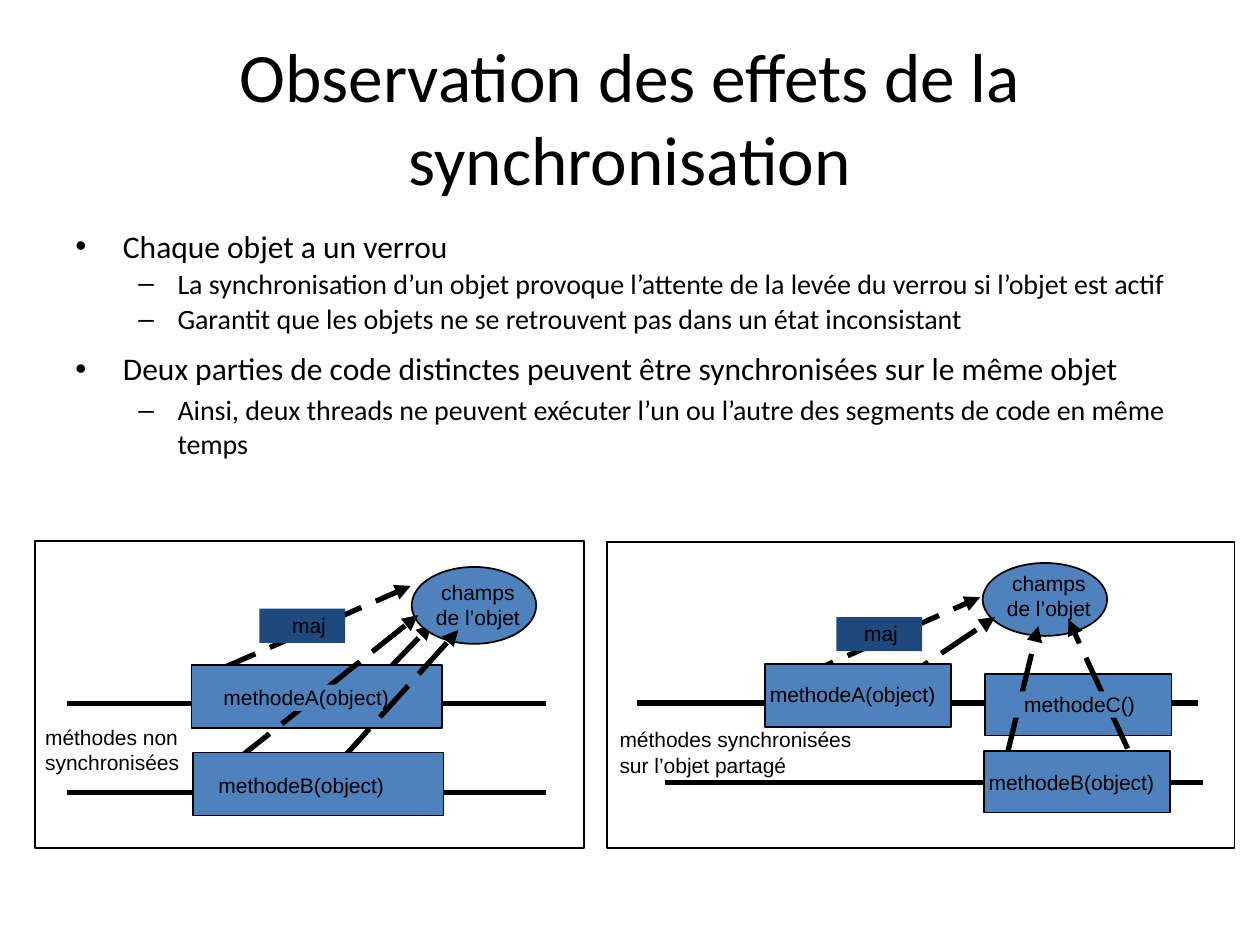
from dataclasses import dataclass

from lxml.etree import SubElement
from pptx import Presentation
from pptx.dml.color import RGBColor
from pptx.enum.dml import MSO_LINE
from pptx.enum.shapes import MSO_CONNECTOR, MSO_SHAPE
from pptx.enum.text import MSO_ANCHOR, PP_ALIGN
from pptx.oxml.ns import qn
from pptx.slide import Slide
from pptx.util import Cm, Pt

BLACK = RGBColor(0x00, 0x00, 0x00)
BLUE = RGBColor(0x4F, 0x81, 0xBD)
NAVY = RGBColor(0x1F, 0x49, 0x7D)


def add_text(slide, left, top, width, height):
    shape = slide.shapes.add_textbox(Cm(left), Cm(top), Cm(width), Cm(height))
    shape.text_frame.word_wrap = True
    return shape.text_frame


def set_font(paragraph, name, size):
    paragraph.font.name = name
    paragraph.font.size = Pt(size)
    paragraph.font.color.rgb = BLACK


@dataclass
class Panel:
    slide: Slide
    left: float
    top: float

    def block(self, left, top, width, height, fill=None, outlined=True, kind=MSO_SHAPE.RECTANGLE):
        shape = self.slide.shapes.add_shape(
            kind, Cm(self.left + left), Cm(self.top + top), Cm(width), Cm(height))
        shape.shadow.inherit = False
        if fill is None:
            shape.fill.background()
        else:
            shape.fill.solid()
            shape.fill.fore_color.rgb = fill
        if outlined:
            shape.line.color.rgb = BLACK
            shape.line.width = Pt(1)
        else:
            shape.line.fill.background()

    def label(self, text, left, top, width, height=0.76, align=PP_ALIGN.CENTER):
        frame = add_text(self.slide, self.left + left, self.top + top, width, height)
        paragraph = frame.paragraphs[0]
        paragraph.text = text
        paragraph.alignment = align
        set_font(paragraph, "Arial", 12)

    def line(self, x1, y1, x2, y2):
        connector = self.slide.shapes.add_connector(
            MSO_CONNECTOR.STRAIGHT, Cm(self.left + x1), Cm(self.top + y1),
            Cm(self.left + x2), Cm(self.top + y2))
        connector.line.color.rgb = BLACK
        connector.line.width = Pt(3)
        SubElement(connector._element.spPr, qn("a:effectLst"))
        return connector

    def arrow(self, x1, y1, x2, y2):
        line = self.line(x1, y1, x2, y2).line
        line.dash_style = MSO_LINE.LONG_DASH
        SubElement(line._get_or_add_ln(), qn("a:tailEnd"), type="triangle")

    def fields(self, left, top, height):
        self.block(left, top, 2.51, height, BLUE, kind=MSO_SHAPE.OVAL)

    def update(self, left, top, label_left):
        self.block(left, top, 1.73, 0.69, NAVY, outlined=False)
        self.label("maj", label_left, top - 0.05, 1.5, align=PP_ALIGN.LEFT)

    def masked_label(self, text, left, top):
        self.block(left, top, 3.12, 0.53, BLUE, outlined=False)
        self.label(text, left - 0.95, top - 0.13, 5.05)


def add_title(slide, left, top, width, height):
    frame = add_text(slide, left, top, width, height)
    frame.vertical_anchor = MSO_ANCHOR.MIDDLE
    paragraph = frame.paragraphs[0]
    paragraph.text = "Observation des effets de la synchronisation"
    paragraph.alignment = PP_ALIGN.CENTER
    set_font(paragraph, "Calibri", 39.6)


def add_bullets(slide, left, top, width, height):
    items = [
        (0, 0, "Chaque objet a un verrou"),
        (1, 1, "La synchronisation d’un objet provoque l’attente de la levée du verrou si l’objet est actif"),
        (1, 1, "Garantit que les objets ne se retrouvent pas dans un état inconsistant"),
        (0, 8, "Deux parties de code distinctes peuvent être synchronisées sur le même objet"),
        (1, 3.2, "Ainsi, deux threads ne peuvent exécuter l’un ou l’autre des segments de code en même temps"),
    ]
    styles = [("•", 18, 0.96, 0.96), ("–", 16, 2.06, 0.79)]
    frame = add_text(slide, left, top, width, height)
    for index, (level, space, text) in enumerate(items):
        mark, size, margin, hanging = styles[level]
        paragraph = frame.add_paragraph() if index else frame.paragraphs[0]
        paragraph.text = text
        paragraph.level = level
        paragraph.space_before = Pt(space)
        set_font(paragraph, "Calibri", size)
        properties = paragraph._p.get_or_add_pPr()
        properties.set("marL", str(Cm(margin)))
        properties.set("indent", str(-Cm(hanging)))
        bullet_font = SubElement(properties, qn("a:buFont"), typeface="Arial")
        bullet = SubElement(properties, qn("a:buChar"), char=mark)
        properties.find(qn("a:defRPr")).addprevious(bullet_font)
        bullet_font.addnext(bullet)


def add_unsynchronised(slide, left, top, width, height):
    panel = Panel(slide, left, top)
    panel.arrow(7.14, 2.57, 8.0, 1.68)
    panel.block(0, 0, width, height)
    for y in (5.08, 3.28):
        panel.line(0.64, y, 10.29, y)
    panel.fields(7.59, 0.53, 1.55)
    panel.label("champs de l’objet", 7.77, 0.66, 2.31, 2.29)
    panel.label("méthodes non synchronisées", -0.05, 3.58, 3.25, 1.27, PP_ALIGN.LEFT)
    panel.arrow(3.66, 2.62, 7.57, 0.91)
    panel.block(3.15, 2.51, 5.05, 1.27, BLUE)
    panel.arrow(6.17, 4.42, 8.53, 1.8)
    panel.update(4.52, 1.37, 4.93)
    panel.arrow(4.06, 4.42, 7.72, 1.5)
    panel.masked_label("methodeA(object)", 3.89, 2.9)
    panel.block(3.18, 4.27, 5.05, 1.27, BLUE)
    panel.label("methodeB(object)", 2.84, 4.55, 5.05)


def add_synchronised(slide, left, top, width, height):
    panel = Panel(slide, left, top)
    panel.fields(7.57, 0.43, 1.47)
    panel.label("champs de l’objet", 7.75, 0.46, 2.31, 2.21)
    panel.arrow(5.77, 2.9, 7.82, 1.52)
    panel.block(0, 0, width, height)
    panel.line(1.17, 4.85, 12.01, 4.85)
    panel.line(0.61, 3.25, 11.91, 3.25)
    panel.block(7.62, 2.67, 3.76, 1.24, BLUE)
    panel.block(7.59, 4.22, 3.76, 1.24, BLUE)
    panel.label("methodeB(object)", 7.34, 4.47, 4.04)
    panel.arrow(3.78, 2.77, 7.52, 1.12)
    panel.update(4.62, 1.52, 4.93)
    panel.block(3.18, 2.46, 3.76, 1.27, BLUE)
    panel.label("methodeA(object)", 3.02, 2.69, 3.86)
    panel.label("méthodes synchronisées sur l’objet partagé", 0, 3.61, 5.36, 1.27, PP_ALIGN.LEFT)
    panel.arrow(8.08, 4.22, 8.69, 1.7)
    panel.arrow(10.49, 4.17, 9.3, 1.57)
    panel.masked_label("methodeC()", 7.95, 3.02)


def main():
    presentation = Presentation()
    presentation.slide_width = Cm(25.4)
    presentation.slide_height = Cm(19.05)
    slide = presentation.slides.add_slide(presentation.slide_layouts[6])
    add_title(slide, 1.27, 0.76, 22.86, 3.18)
    add_bullets(slide, 1.27, 4.45, 22.86, 12.57)
    add_unsynchronised(slide, 0.71, 10.9, 11.07, 6.2)
    add_synchronised(slide, 12.24, 10.92, 12.65, 6.17)
    presentation.save("out.pptx")


if __name__ == "__main__":
    main()
